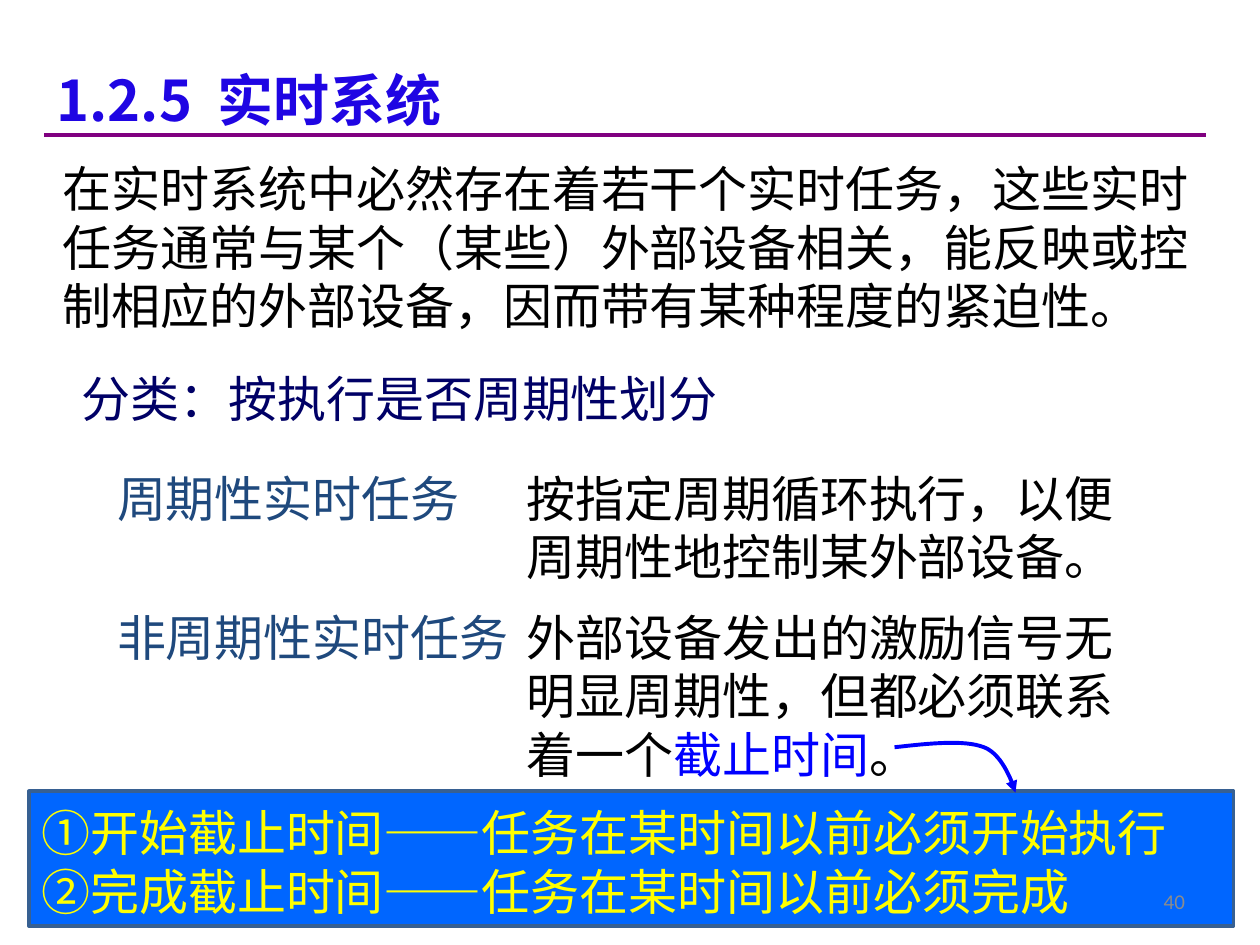
from dataclasses import dataclass

from lxml import etree
from pptx import Presentation
from pptx.dml.color import RGBColor
from pptx.enum.shapes import MSO_CONNECTOR, MSO_SHAPE
from pptx.enum.text import MSO_ANCHOR, MSO_AUTO_SIZE, PP_ALIGN
from pptx.oxml.ns import qn
from pptx.util import Pt

LINE = MSO_CONNECTOR.STRAIGHT
RECT = MSO_SHAPE.RECTANGLE
TOP, MID = MSO_ANCHOR.TOP, MSO_ANCHOR.MIDDLE
LEFT, RIGHT = PP_ALIGN.LEFT, PP_ALIGN.RIGHT
FIXED = MSO_AUTO_SIZE.NONE


@dataclass(frozen=True)
class Theme:
    black: str = "000000"
    title: str = "1F05E3"
    rule: str = "800080"
    head: str = "000066"
    label: str = "1F497D"
    key: str = "0000FF"
    panel: str = "0066FF"
    edge: str = "376092"
    note: str = "FFFF00"
    grey: str = "8C8C8C"
    big: float = 32
    body: float = 28
    small: float = 12
    pen: float = 2.25
    lead: float = 1.19
    inset: float = 7
    cjk: str = "Noto Sans CJK SC"
    sans: str = "Arial"
    num: str = "Calibri"


T = Theme()


def style(obj, **vals):
    for name, val in vals.items():
        setattr(obj, name, val)


def place(shape, box):
    names = ("left", "top", "width", "height")
    style(shape, **{name: Pt(val) for name, val in zip(names, box)})


def ink(line, tint):
    line.color.rgb = RGBColor.from_string(tint)
    line.width = Pt(T.pen)


def add_run(para, text, tint, font=T.sans, size=T.body, bold=False, gap=0):
    run = para.add_run()
    run.text = text
    style(run.font, name=font, size=Pt(size), bold=bold)
    run.font.color.rgb = RGBColor.from_string(tint)
    props = run._r.get_or_add_rPr()
    if gap:
        props.set("spc", str(gap * 100))
    face = etree.Element(qn("a:ea"), typeface=T.cjk)
    props.find(qn("a:latin")).addnext(face)


def fill_text(shape, paras, size=T.body):
    frame = shape.text_frame
    style(frame, word_wrap=True, auto_size=FIXED, vertical_anchor=TOP,
          margin_top=Pt(T.inset), margin_bottom=0,
          margin_left=Pt(7.2), margin_right=Pt(7.2))
    for i, runs in enumerate(paras):
        para = frame.add_paragraph() if i else frame.paragraphs[0]
        style(para, alignment=LEFT, line_spacing=Pt(round(size * T.lead, 1)),
              space_before=Pt(0))
        for run in runs:
            add_run(para, *run)


def add_title(slide):
    title = slide.shapes.title
    place(title, (25.2, 31, 285, 34.6))
    look = (T.title, T.cjk, T.big, True)
    runs = [("1.2.5", *look), (" ", *look, 7), ("实时系统", *look)]
    fill_text(title, [runs], T.big)


def add_text(slide, box, *runs):
    shape = slide.shapes.add_textbox(*map(Pt, box))
    fill_text(shape, [runs])


def add_panel(slide, box, lines):
    shape = slide.shapes.add_shape(RECT, *map(Pt, box))
    shape.shadow.inherit = False
    shape.fill.solid()
    shape.fill.fore_color.rgb = RGBColor.from_string(T.panel)
    ink(shape.line, T.edge)
    fill_text(shape, [[(line, T.note)] for line in lines])


def add_rule(slide, left, right, y):
    rule = slide.shapes.add_connector(LINE, Pt(left), Pt(y), Pt(right), Pt(y))
    ink(rule.line, T.rule)
    etree.SubElement(rule._element.spPr, qn("a:effectLst"))


def bend(a, b, c, d, steps=16):
    for i in range(1, steps + 1):
        t = i / steps
        s = 1 - t
        yield tuple(
            Pt(s**3 * p + 3 * s * s * t * q + 3 * s * t * t * r + t**3 * e)
            for p, q, r, e in zip(a, b, c, d)
        )


def add_curve(slide, knots):
    pen = slide.shapes.build_freeform(*map(Pt, knots[0]))
    for i in range(0, len(knots) - 1, 3):
        pen.add_line_segments(bend(*knots[i:i + 4]), close=False)
    curve = pen.convert_to_shape()
    curve.shadow.inherit = False
    curve.fill.background()
    ink(curve.line, T.key)
    etree.SubElement(curve.line._get_or_add_ln(), qn("a:tailEnd"), type="triangle")


def add_page(slide, box, text):
    shape = slide.shapes.add_textbox(*map(Pt, box))
    style(shape.text_frame, word_wrap=True, vertical_anchor=MID)
    para = shape.text_frame.paragraphs[0]
    para.alignment = RIGHT
    add_run(para, text, T.grey, T.num, T.small)


def main():
    deck = Presentation()
    style(deck, slide_width=Pt(720), slide_height=Pt(540))
    slide = deck.slides.add_slide(deck.slide_layouts[5])
    add_title(slide)
    add_rule(slide, 25.2, 689, 77)
    add_text(slide, (28.8, 84.2, 672, 108), (
        "在实时系统中必然存在着若干个实时任务，这些实时任务通常与某个（某些）"
        "外部设备相关，能反映或控制相应的外部设备，因而带有某种程度的紧迫性。",
        T.black, T.cjk))
    add_text(slide, (39.6, 203.8, 636, 41),
             ("分类：按执行是否周期性划分", T.head, T.cjk))
    rows = [
        (261, 74, "周期性",
         [("按指定周期循环执行，以便周期性地控制某外部设备。", T.black)]),
        (340.6, 108, "非周期性",
         [("外部设备发出的激励信号无明显周期性，但都必须联系着一个", T.black),
          ("截止时间", T.key), ("。", T.black)]),
    ]
    for y, high, kind, runs in rows:
        add_text(slide, (59.8, y, 240, 41),
                 (kind, T.label), ("实时任务", T.label, T.cjk))
        add_text(slide, (293.8, y, 366, high), *runs)
    add_panel(slide, (16.6, 452.2, 688.3, 77), [
        "①开始截止时间——任务在某时间以前必须开始执行",
        "②完成截止时间——任务在某时间以前必须完成",
    ])
    add_curve(slide, [(511.2, 427), (531.4, 424.8), (550.8, 422.6), (562.3, 427),
                      (573.8, 431.3), (579.6, 450.7), (580.3, 452.9)])
    add_page(slide, (516.2, 500.4, 168, 28.8), "40")
    deck.save("out.pptx")


if __name__ == "__main__":
    main()
